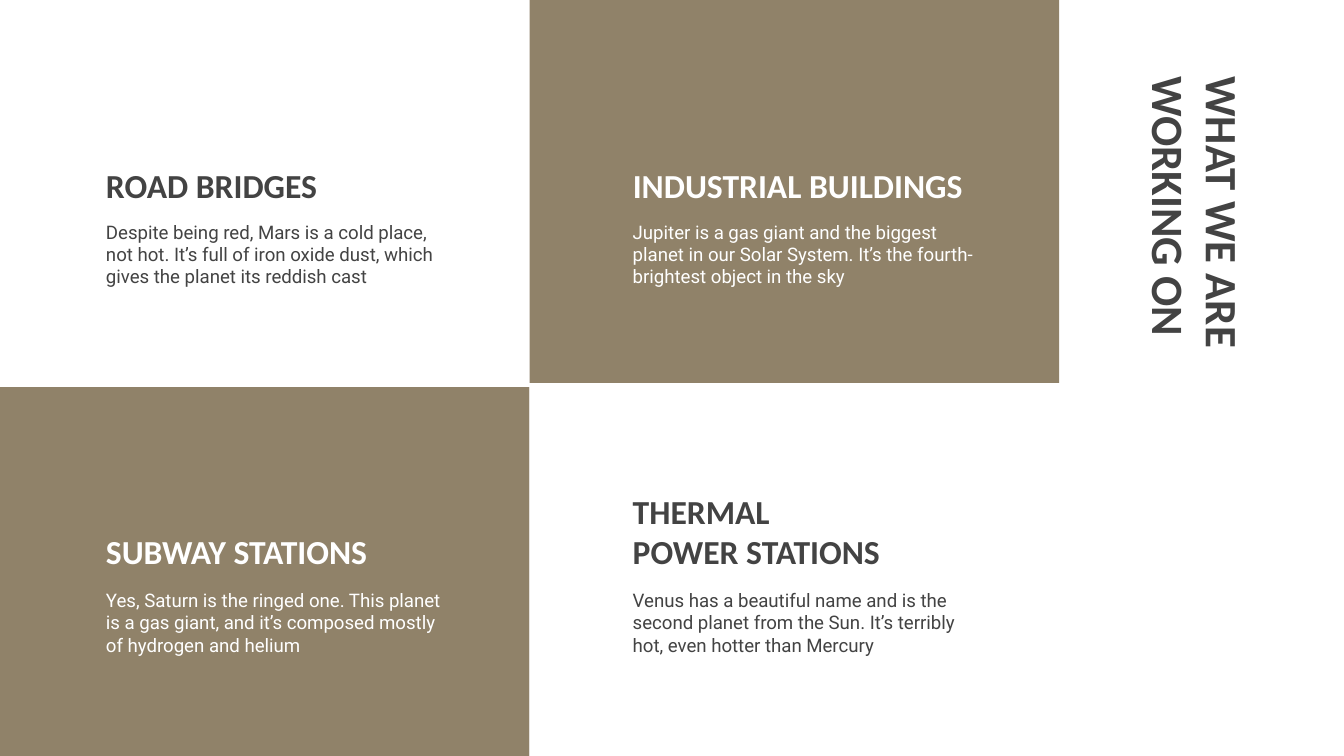
import pptx
import pptx.dml.color
import pptx.enum.shapes
import pptx.enum.text
import pptx.util

Inches = pptx.util.Inches
RGBColor = pptx.dml.color.RGBColor
ANCHOR = pptx.enum.text.MSO_ANCHOR

TAUPE = RGBColor(0x90, 0x82, 0x69)
WHITE = RGBColor(0xFF, 0xFF, 0xFF)
DARK = RGBColor(0x43, 0x43, 0x43)

SLIDE_W = 10
SLIDE_H = SLIDE_W * 9 / 16

PANEL_W = 3.94
ROW_SPLIT = 2.88
PANELS = [
    (PANEL_W, -0.03, ROW_SPLIT, TAUPE),
    (0, ROW_SPLIT, 2.75, TAUPE),
    (PANEL_W, ROW_SPLIT, 2.75, WHITE),
]

TEXT_LEFTS = (0.69, 4.61)
HEADING_TOPS = (0.92, 3.64)
BODY_TOPS = (1.54, 4.28)

# column, row, heading, heading width, description, description size, colour
PROJECTS = [
    (0, 0, "ROAD BRIDGES", 3.14,
     "Despite being red, Mars is a cold place, not hot. It’s full of iron "
     "oxide dust, which gives the planet its reddish cast", (2.71, 0.59), DARK),
    (1, 0, "INDUSTRIAL BUILDINGS", 2.95,
     "Jupiter is a gas giant and the biggest planet in our Solar System. "
     "It’s the fourth-brightest object in the sky", (2.83, 0.82), WHITE),
    (0, 1, "SUBWAY STATIONS", 3.14,
     "Yes, Saturn is the ringed one. This planet is a gas giant, and it’s "
     "composed mostly of hydrogen and helium", (2.71, 1.03), WHITE),
    (1, 1, "THERMAL\nPOWER STATIONS", 2.83,
     "Venus has a beautiful name and is the second planet from the Sun. "
     "It’s terribly hot, even hotter than Mercury", (2.83, 0.82), DARK),
]


def add_panel(s, left, top, height, color):
    sp = s.shapes.add_shape(
        pptx.enum.shapes.MSO_SHAPE.RECTANGLE,
        Inches(left), Inches(top), Inches(PANEL_W), Inches(height))
    sp.shadow.inherit = False
    sp.fill.solid()
    sp.fill.fore_color.rgb = color
    sp.line.fill.background()


def add_text(s, box, text, font, size, color, bold=False, anchor=ANCHOR.TOP):
    """Add a wrapped text box; a newline in text becomes a line break."""
    sp = s.shapes.add_textbox(*map(Inches, box))
    tf = sp.text_frame
    tf.word_wrap = True
    tf.vertical_anchor = anchor
    tf.margin_left = tf.margin_right = Inches(0.1)
    tf.margin_top = tf.margin_bottom = Inches(0.1)
    p = tf.paragraphs[0]
    for i, line in enumerate(text.split("\n")):
        if i:
            p.add_line_break()
        r = p.add_run()
        r.text = line
        r.font.name = font
        r.font.size = pptx.util.Pt(size)
        r.font.bold = bold
        r.font.color.rgb = color
    return sp


def add_project(s, column, row, heading, heading_w, description, size, color):
    left = TEXT_LEFTS[column]
    add_text(s, (left, HEADING_TOPS[row], heading_w, 0.71), heading,
             "Calibri", 18, color, bold=True, anchor=ANCHOR.BOTTOM)
    add_text(s, (left, BODY_TOPS[row], *size), description,
             "Roboto", 10, color)


def main():
    prs = pptx.Presentation()
    prs.slide_width = Inches(SLIDE_W)
    prs.slide_height = Inches(SLIDE_H)
    s = prs.slides.add_slide(prs.slide_layouts[6])

    title = add_text(s, (7.31, 1.8, 3.19, 0.53), "WHAT WE ARE WORKING ON",
                     "Calibri", 24, DARK, bold=True, anchor=ANCHOR.MIDDLE)
    title.rotation = 90
    for panel in PANELS:
        add_panel(s, *panel)
    for project in PROJECTS:
        add_project(s, *project)

    prs.save("out.pptx")


if __name__ == "__main__":
    main()
